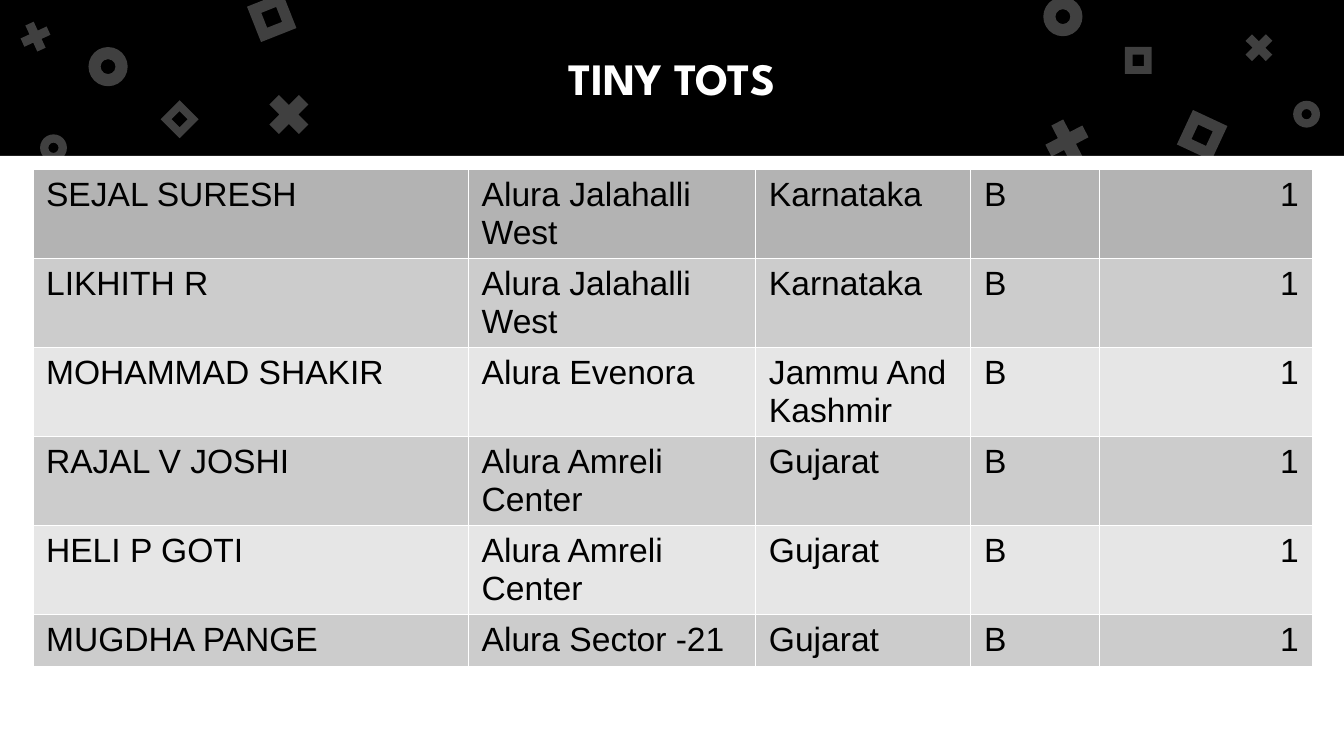
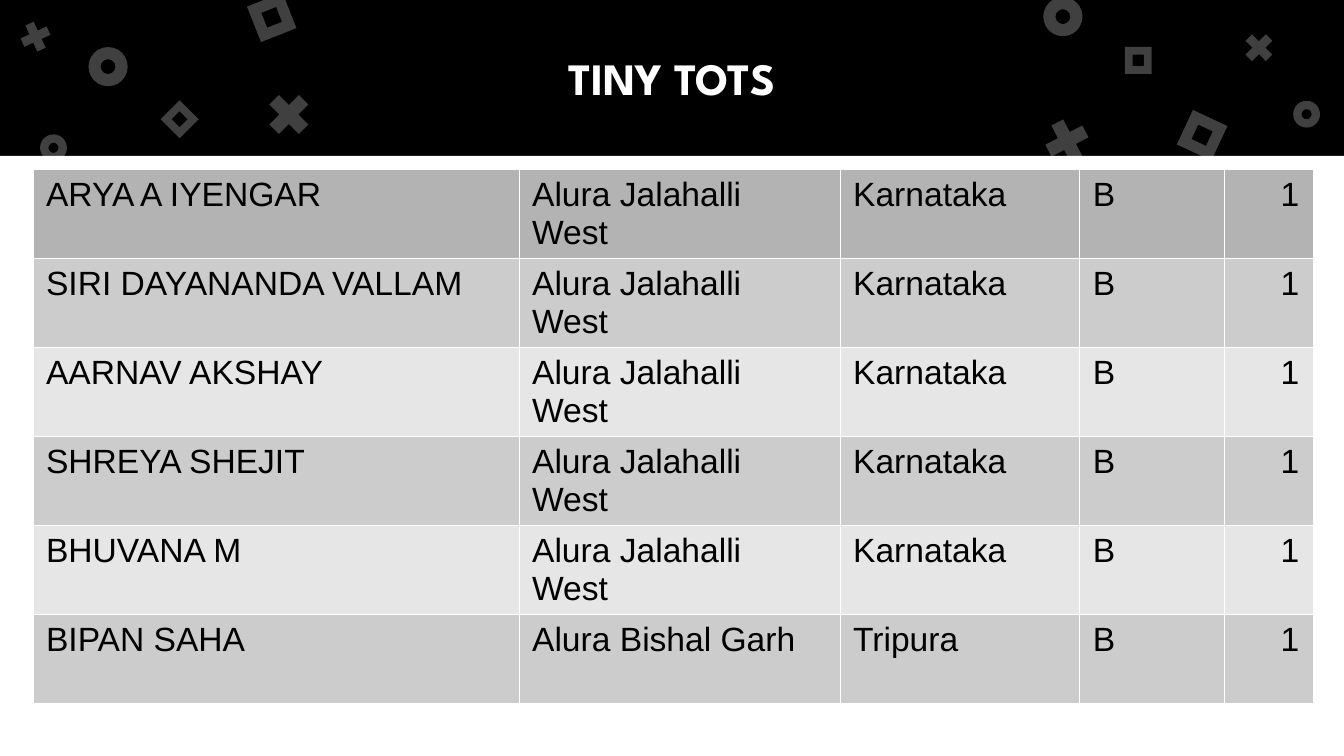
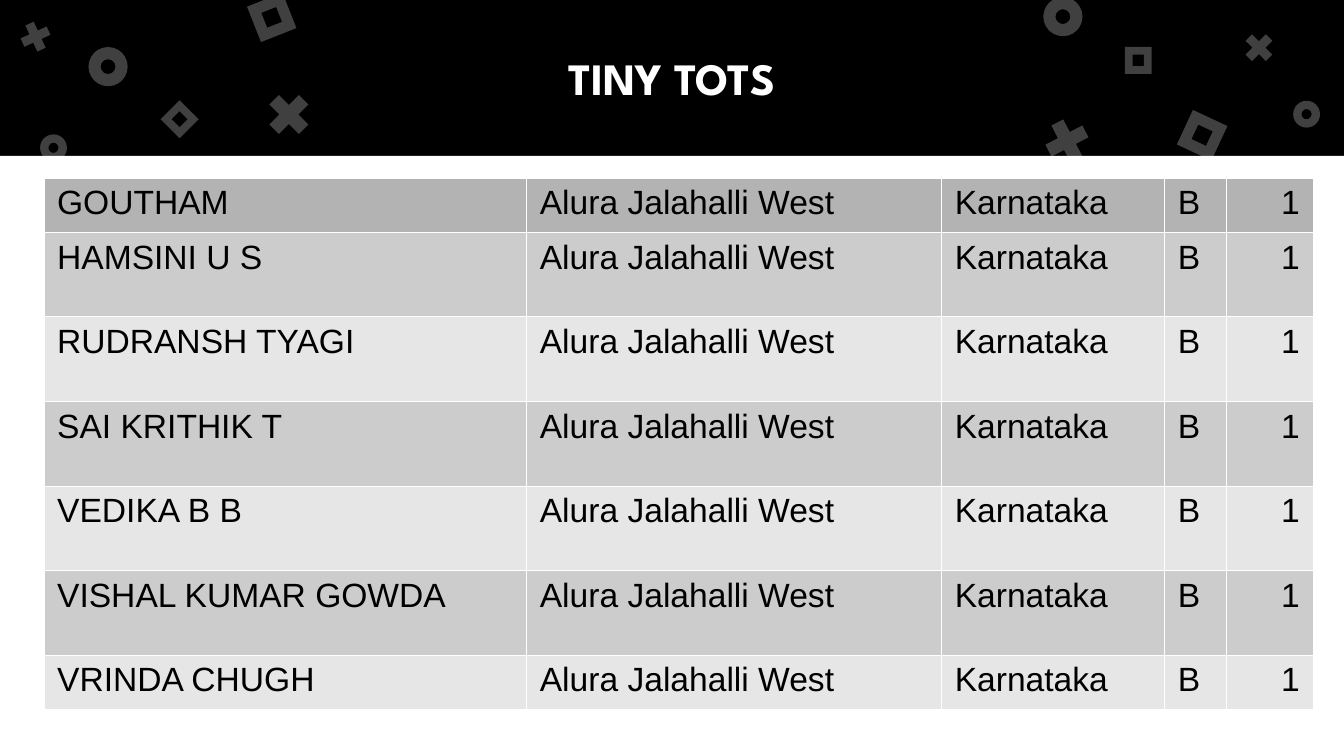
from collections import namedtuple

from pptx import Presentation
from pptx.dml.color import RGBColor
from pptx.enum.shapes import MSO_SHAPE as Preset
from pptx.enum.text import MSO_ANCHOR as Anchor, MSO_AUTO_SIZE as AutoSize, PP_ALIGN as Align
from pptx.oxml import parse_xml
from pptx.oxml.ns import nsdecls, qn
from pptx.util import Pt

Box = namedtuple("Box", "left top width height")
Roster = namedtuple("Roster", "left top widths heights pupils")

COLORS = {
    "background": "7BD100", "band": "000000", "page": "FFFFFF", "confetti": "FFFFFF",
    "title": "FFFFFF", "entry": "000000", "rule": "FFFFFF",
    "first_row": "B3B3B3", "odd_row": "CCCCCC", "even_row": "E6E6E6",
}
TITLE_FONT, ENTRY_FONT = "League Spartan", "Arial"
TITLE = "TINY TOTS"
CATEGORY, LEVEL = "B", "1"
SLIDE = Box(0, 0, 720, 405)
BAND = Box(0, 0, 720, 83.5)
PAGE = Box(0, 83.6, 720, 321.4)
TITLE_INDENT = 36
CONFETTI_ALPHA = 25
PIECES = {"ring": (Preset.DONUT, 0.31), "cross": (Preset.MATH_MULTIPLY, 0.235),
          "square": (Preset.FRAME, 0.289)}
CONFETTI = [
    ("ring", 47.4, 25.2, 21, 0), ("cross", 139.6, 46.2, 30.4, 0),
    ("square", 135.4, -0.9, 20.4, 338.4), ("ring", 558.9, -1.6, 21, 0),
    ("cross", 556.4, 60.4, 30.4, 17.5), ("square", 633.8, 62.3, 20.4, 25),
    ("ring", 21.5, 72, 14.4, 0), ("cross", 8.6, 9.2, 20.9, 20.4),
    ("square", 89, 56.7, 14.4, 45), ("ring", 692.8, 54, 14.4, 0),
    ("cross", 664, 15.1, 20.9, 0), ("square", 602.6, 25.2, 14.4, 0),
]

WEST = "Alura Jalahalli West"
AMRELI = "Alura Amreli Center"
ROSTERS = [
    Roster(17.5, 90.8, [233.4, 153.9, 115.2, 69.1, 114], [47.7] * 5 + [27.6], [
        ("SEJAL SURESH", WEST, "Karnataka"),
        ("LIKHITH R", WEST, "Karnataka"),
        ("MOHAMMAD SHAKIR", "Alura Evenora", "Jammu And Kashmir"),
        ("RAJAL V JOSHI", AMRELI, "Gujarat"),
        ("HELI P GOTI", AMRELI, "Gujarat"),
        ("MUGDHA PANGE", "Alura Sector -21", "Gujarat"),
    ]),
    Roster(17.5, 90.8, [260.4, 172, 128.4, 77.7, 47.3], [47.7] * 6, [
        ("ARYA A IYENGAR", WEST, "Karnataka"),
        ("SIRI DAYANANDA VALLAM", WEST, "Karnataka"),
        ("AARNAV AKSHAY", WEST, "Karnataka"),
        ("SHREYA SHEJIT", WEST, "Karnataka"),
        ("BHUVANA M", WEST, "Karnataka"),
        ("BIPAN SAHA", "Alura Bishal Garh", "Tripura"),
    ]),
    Roster(23.4, 95.2, [258.6, 222.3, 119.5, 32.9, 46.8], [29.1] + [45.3] * 5 + [29.3], [
        (name, WEST, "Karnataka") for name in (
            "GOUTHAM", "HAMSINI U S", "RUDRANSH TYAGI", "SAI KRITHIK T",
            "VEDIKA B B", "VISHAL KUMAR GOWDA", "VRINDA CHUGH")
    ]),
]


def color(role):
    """Return the colour that belongs to a role."""
    return RGBColor.from_string(COLORS[role])


def add_filled(slide, preset, box, role):
    """Add a plain filled shape without line or shadow."""
    shape = slide.shapes.add_shape(preset, *map(Pt, box))
    shape.shadow.inherit = False
    shape.line.fill.background()
    shape.fill.solid()
    shape.fill.fore_color.rgb = color(role)
    return shape


def set_font(paragraph, name, size, role, bold=False):
    """Format all runs of a paragraph."""
    for run in paragraph.runs:
        run.font.name, run.font.size, run.font.bold = name, Pt(size), bold
        run.font.color.rgb = color(role)


def add_confetti(slide, box):
    """Scatter the translucent pieces over the box."""
    for kind, x, y, size, turn in CONFETTI:
        preset, thickness = PIECES[kind]
        piece = add_filled(slide, preset, Box(box.left + x, box.top + y, size, size), "confetti")
        piece.adjustments[0] = thickness
        piece.rotation = turn
        tint = piece.fill._xPr.find(".//" + qn("a:srgbClr"))
        tint.append(parse_xml(f'<a:alpha {nsdecls("a")} val="{CONFETTI_ALPHA * 1000}"/>'))


def add_heading(slide, box):
    """Centre the title in the box, in front of the band."""
    heading = slide.shapes.title
    slide.shapes._spTree.append(heading._element)
    heading.left, heading.top = Pt(box.left + TITLE_INDENT), Pt(box.top)
    heading.width, heading.height = Pt(box.width - 2 * TITLE_INDENT), Pt(box.height)
    frame = heading.text_frame
    frame.text = TITLE
    frame.word_wrap, frame.auto_size = True, AutoSize.NONE
    frame.vertical_anchor = Anchor.MIDDLE
    frame.margin_left = frame.margin_right = frame.margin_top = frame.margin_bottom = Pt(7.2)
    frame.paragraphs[0].alignment = Align.CENTER
    set_font(frame.paragraphs[0], TITLE_FONT, 24, "title", bold=True)


def add_rules(cell):
    """Draw a hairline on each side of a cell."""
    for side in "LRTB":
        cell._tc.get_or_add_tcPr().append(parse_xml(
            f'<a:ln{side} {nsdecls("a")} w="762"><a:solidFill>'
            f'<a:srgbClr val="{COLORS["rule"]}"/></a:solidFill></a:ln{side}>'))


def row_role(index):
    """Name the fill of a table row."""
    if index == 0:
        return "first_row"
    return "odd_row" if index % 2 else "even_row"


def add_roster(slide, roster):
    """Build the table of pupils."""
    box = Box(roster.left, roster.top, sum(roster.widths), sum(roster.heights))
    table = slide.shapes.add_table(
        len(roster.heights), len(roster.widths), *map(Pt, box)).table
    table.first_row = table.horz_banding = False
    for column, width in zip(table.columns, roster.widths):
        column.width = Pt(width)
    for index, (row, pupil) in enumerate(zip(table.rows, roster.pupils)):
        row.height = Pt(roster.heights[index])
        for cell, entry in zip(row.cells, (*pupil, CATEGORY, LEVEL)):
            add_rules(cell)
            cell.fill.solid()
            cell.fill.fore_color.rgb = color(row_role(index))
            cell.text_frame.text = entry
            paragraph = cell.text_frame.paragraphs[0]
            paragraph.alignment = Align.RIGHT if entry == LEVEL else Align.LEFT
            set_font(paragraph, ENTRY_FONT, 18, "entry")


def add_roster_slide(deck, roster):
    """Add one slide with band, title and table."""
    slide = deck.slides.add_slide(deck.slide_layouts[5])
    slide.background.fill.solid()
    slide.background.fill.fore_color.rgb = color("background")
    add_filled(slide, Preset.RECTANGLE, BAND, "band")
    add_filled(slide, Preset.RECTANGLE, PAGE, "page")
    add_confetti(slide, BAND)
    add_heading(slide, BAND)
    add_roster(slide, roster)


def main():
    """Build and save the deck."""
    deck = Presentation()
    deck.slide_width, deck.slide_height = Pt(SLIDE.width), Pt(SLIDE.height)
    for roster in ROSTERS:
        add_roster_slide(deck, roster)
    deck.save("out.pptx")


if __name__ == "__main__":
    main()
